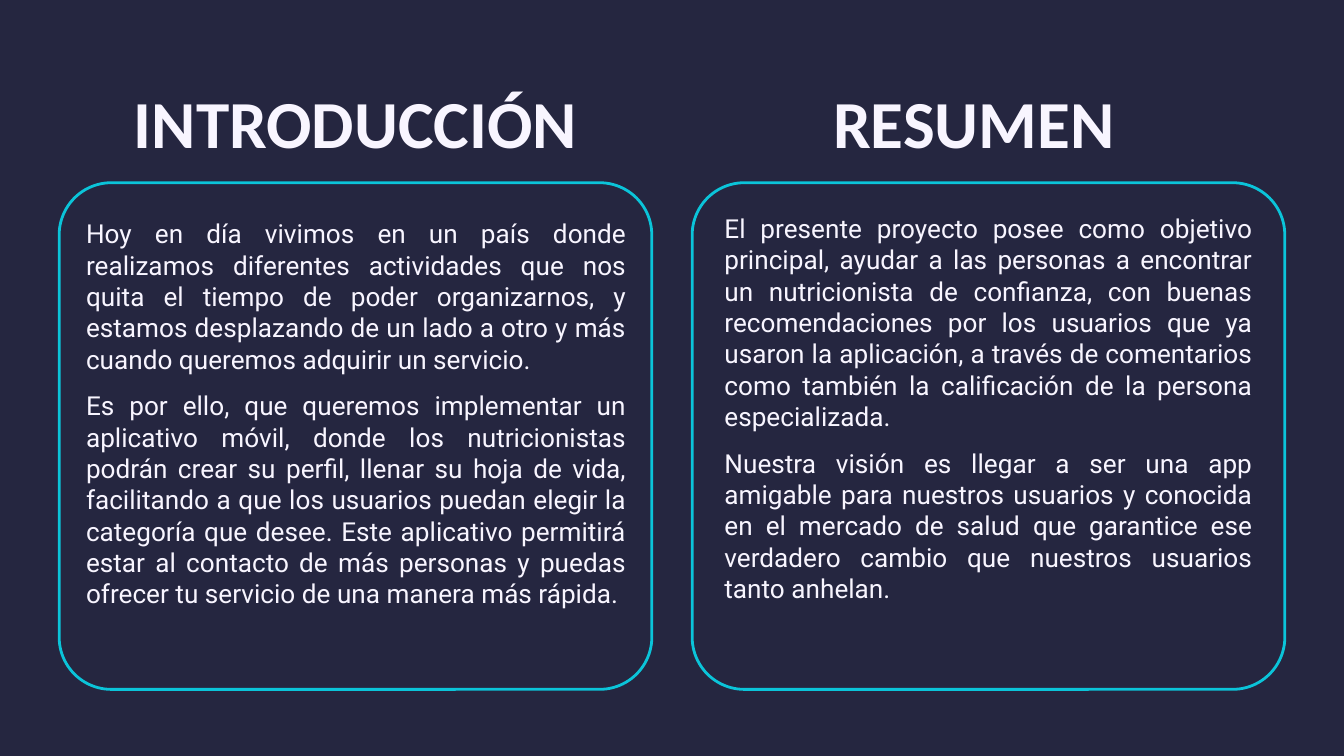
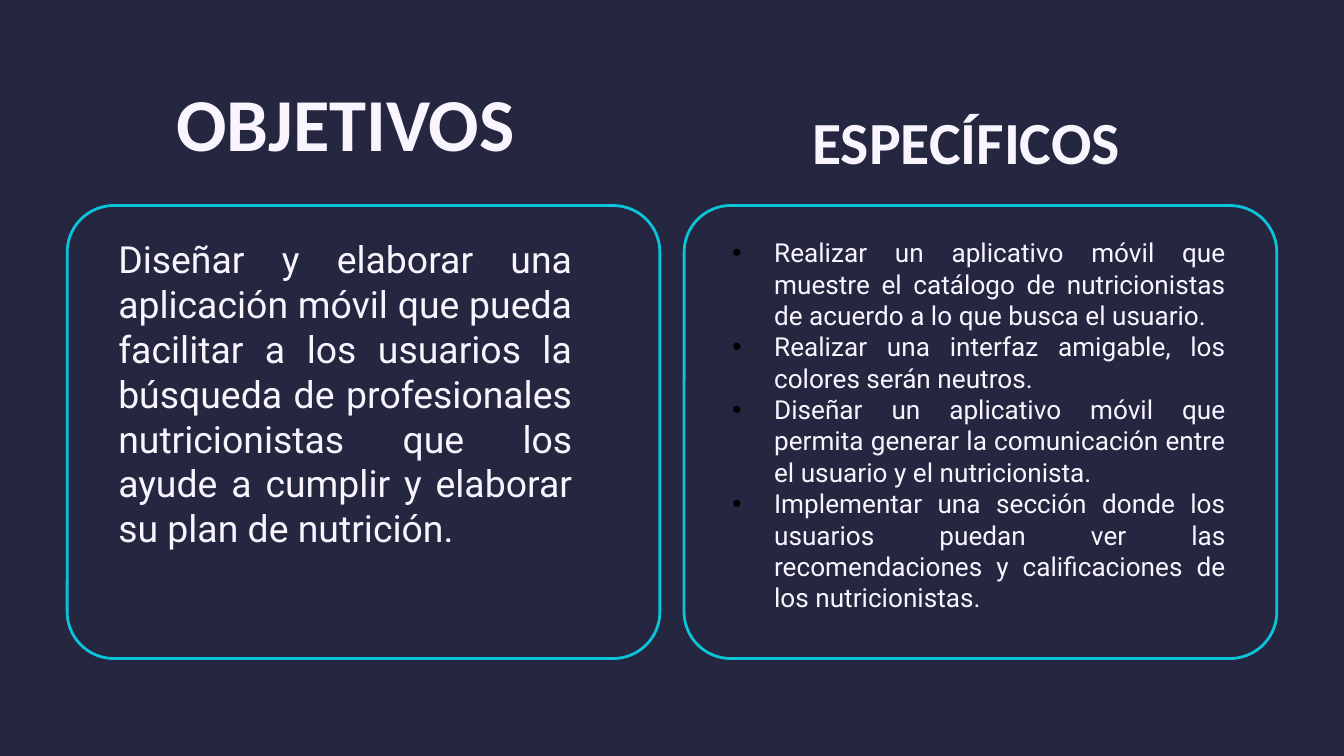
from typing import NamedTuple

from lxml.etree import SubElement
from pptx import Presentation
from pptx.dml.color import RGBColor
from pptx.enum.shapes import MSO_SHAPE
from pptx.enum.text import MSO_ANCHOR, MSO_AUTO_SIZE, PP_ALIGN
from pptx.oxml.ns import qn
from pptx.util import Inches, Pt

BACKGROUND = "252640"
BORDER = "0BC4D9"
TEXT = "F8F5FF"
BULLET = "000000"
TWO_CONTENT_LAYOUT = 3
PANEL_WIDTH = 4.41
SLIDE_WIDTH = Inches(10)
SLIDE_HEIGHT = SLIDE_WIDTH * 9 // 16


class Box(NamedTuple):
    left: float
    top: float
    width: float
    height: float


class Column(NamedTuple):
    heading: str
    heading_size: int
    heading_box: Box
    panel_box: Box
    paragraphs: list[str]
    text_size: int
    text_box: Box
    bulleted: bool = False


SLIDES = [
    [
        Column(
            "INTRODUCCIÓN", 36, Box(0.44, 0.59, PANEL_WIDTH, 0.63),
            Box(0.44, 1.36, PANEL_WIDTH, 3.77),
            [
                "Hoy en día vivimos en un país donde realizamos diferentes actividades "
                "que nos quita el tiempo de poder organizarnos, y estamos desplazando de "
                "un lado a otro y más cuando queremos adquirir un servicio.",
                "Es por ello, que queremos implementar un aplicativo móvil, donde los "
                "nutricionistas podrán crear su perfil, llenar su hoja de vida, "
                "facilitando a que los usuarios puedan elegir la categoría que desee. "
                "Este aplicativo permitirá estar al contacto de más personas y puedas "
                "ofrecer tu servicio de una manera más rápida.",
            ],
            14, Box(0.54, 1.57, 4.22, 3.86),
        ),
        Column(
            "RESUMEN", 36, Box(5.04, 0.59, PANEL_WIDTH, 0.63),
            Box(5.15, 1.36, PANEL_WIDTH, 3.77),
            [
                "El presente proyecto posee como objetivo principal, ayudar a las "
                "personas a encontrar un nutricionista de confianza, con buenas "
                "recomendaciones por los usuarios que ya usaron la aplicación, a través "
                "de comentarios como también la calificación de la persona especializada.",
                "Nuestra visión es llegar a ser una app amigable para nuestros usuarios "
                "y conocida en el mercado de salud que garantice ese verdadero cambio "
                "que nuestros usuarios tanto anhelan.",
            ],
            14, Box(5.29, 1.53, 4.13, 3.62),
        ),
    ],
    [
        Column(
            "OBJETIVOS", 40, Box(0.78, 0.59, 3.58, 0.63),
            Box(0.5, 1.53, PANEL_WIDTH, 3.37),
            [
                "Diseñar y elaborar una aplicación móvil que pueda facilitar a los "
                "usuarios la búsqueda de profesionales nutricionistas que los ayude a "
                "cumplir y elaborar su plan de nutrición.",
            ],
            20, Box(0.78, 1.71, 3.58, 3.58),
        ),
        Column(
            "ESPECÍFICOS", 32, Box(5.16, 0.73, 4.06, 0.63),
            Box(5.09, 1.53, PANEL_WIDTH, 3.37),
            [
                "Realizar un aplicativo móvil que muestre el catálogo de nutricionistas "
                "de acuerdo a lo que busca el usuario.",
                "Realizar una interfaz amigable, los colores serán neutros.",
                "Diseñar un aplicativo móvil que permita generar la comunicación entre "
                "el usuario y el nutricionista.",
                "Implementar una sección donde los usuarios puedan ver las "
                "recomendaciones y calificaciones de los nutricionistas.",
            ],
            14, Box(5.35, 1.71, 3.87, 2.93), bulleted=True,
        ),
    ],
]


def color(value: str) -> RGBColor:
    return RGBColor.from_string(value)


def lengths(box: Box) -> list[Inches]:
    return [Inches(value) for value in box]


def set_attributes(target, values: dict) -> None:
    for name, value in values.items():
        setattr(target, name, value)


def place(shape, box: Box) -> None:
    set_attributes(shape, dict(zip(Box._fields, lengths(box))))


def format_frame(frame, anchor: MSO_ANCHOR, vertical_margin: float) -> None:
    set_attributes(frame, {
        "word_wrap": True,
        "auto_size": MSO_AUTO_SIZE.NONE,
        "vertical_anchor": anchor,
        "margin_left": Inches(0.1),
        "margin_right": Inches(0.1),
        "margin_top": Inches(vertical_margin),
        "margin_bottom": Inches(vertical_margin),
    })


def format_paragraph(paragraph, alignment: PP_ALIGN, space_after: int,
                     font_name: str, size: int, bold: bool) -> None:
    set_attributes(paragraph, {
        "alignment": alignment,
        "space_before": Pt(0),
        "space_after": Pt(space_after),
    })
    for run in paragraph.runs:
        set_attributes(run.font, {"name": font_name, "size": Pt(size), "bold": bold})
        run.font.color.rgb = color(TEXT)


def set_bullet(paragraph, bulleted: bool) -> None:
    properties = paragraph._p.get_or_add_pPr()
    indent = Inches(0.31) if bulleted else 0
    properties.set("marL", str(indent))
    properties.set("indent", str(-indent))
    if bulleted:
        bullet_color = SubElement(properties, qn("a:buClr"))
        SubElement(bullet_color, qn("a:srgbClr"), val=BULLET)
        SubElement(properties, qn("a:buFont"), typeface="Arial")
        SubElement(properties, qn("a:buChar"), char="•")
    else:
        SubElement(properties, qn("a:buNone"))


def add_panel(slide, box: Box) -> None:
    panel = slide.shapes.add_shape(MSO_SHAPE.ROUNDED_RECTANGLE, *lengths(box))
    panel.adjustments[0] = 0.103
    panel.shadow.inherit = False
    panel.fill.background()
    panel.line.color.rgb = color(BORDER)
    panel.line.width = Pt(1.5)


def write_heading(shape, column: Column) -> None:
    place(shape, column.heading_box)
    frame = shape.text_frame
    frame.text = column.heading
    format_frame(frame, MSO_ANCHOR.MIDDLE, 0.1)
    format_paragraph(frame.paragraphs[0], PP_ALIGN.CENTER, 0,
                     "Calibri", column.heading_size, True)


def write_body(shape, column: Column) -> None:
    place(shape, column.text_box)
    frame = shape.text_frame
    frame.text = "\n".join(column.paragraphs)
    format_frame(frame, MSO_ANCHOR.TOP, 0.05)
    last = len(column.paragraphs) - 1
    for index, paragraph in enumerate(frame.paragraphs):
        space_after = 0 if column.bulleted and index < last else 8
        format_paragraph(paragraph, PP_ALIGN.JUSTIFY, space_after,
                         "Roboto", column.text_size, False)
        set_bullet(paragraph, column.bulleted)


def add_column_slide(presentation, columns: list[Column]) -> None:
    slide = presentation.slides.add_slide(presentation.slide_layouts[TWO_CONTENT_LAYOUT])
    title, *bodies = slide.placeholders
    for column in columns:
        add_panel(slide, column.panel_box)
    second_heading = slide.shapes.add_textbox(*lengths(columns[1].heading_box))
    for heading, body, column in zip([title, second_heading], bodies, columns):
        write_heading(heading, column)
        write_body(body, column)


def main() -> None:
    """Build the two-column slides and save the presentation."""
    presentation = Presentation()
    set_attributes(presentation, {"slide_width": SLIDE_WIDTH, "slide_height": SLIDE_HEIGHT})
    background = presentation.slide_master.background.fill
    background.solid()
    background.fore_color.rgb = color(BACKGROUND)
    for columns in SLIDES:
        add_column_slide(presentation, columns)
    presentation.save("out.pptx")


if __name__ == "__main__":
    main()
